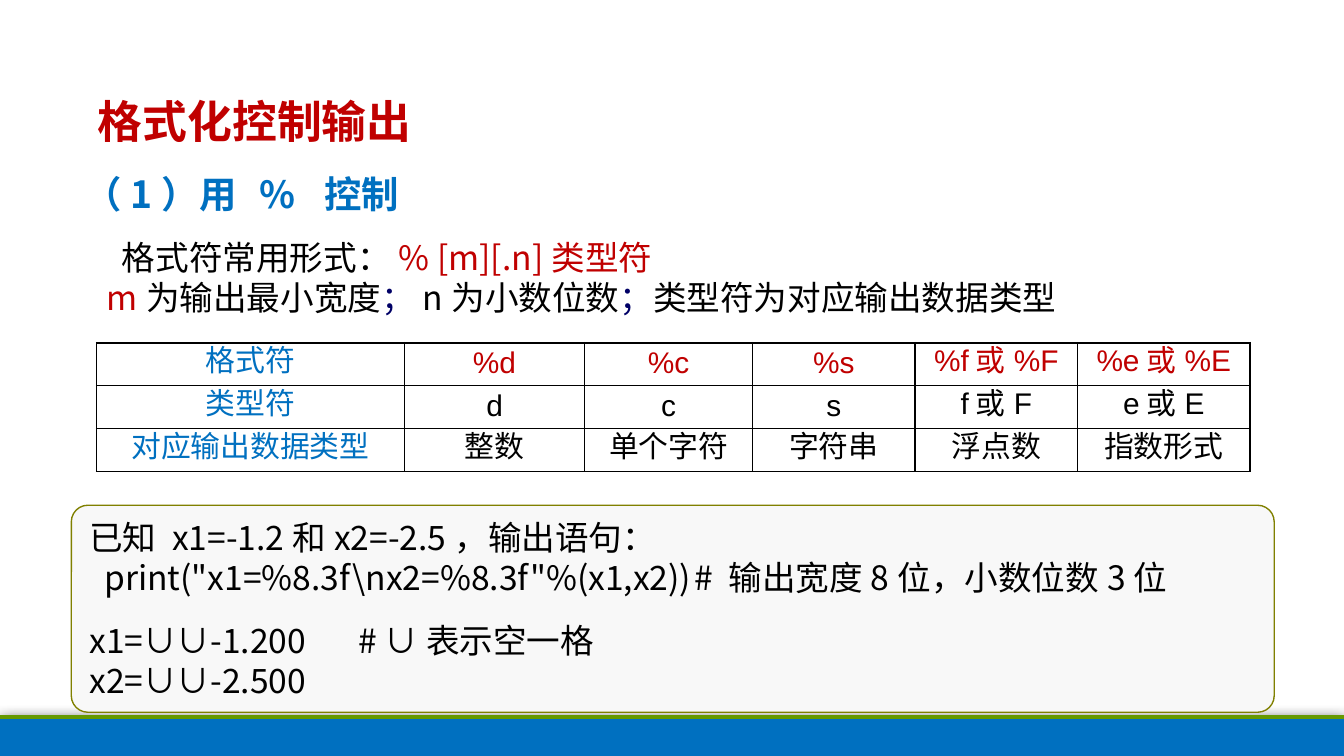
from dataclasses import dataclass

from pptx import Presentation
from pptx.dml.color import RGBColor
from pptx.enum.shapes import MSO_CONNECTOR as Connector, MSO_SHAPE as Shape
from pptx.enum.text import MSO_ANCHOR as Anchor, MSO_AUTO_SIZE as AutoSize, PP_ALIGN as Align
from pptx.oxml.ns import qn
from pptx.util import Pt
from lxml.etree import SubElement

WHITE = RGBColor(0xFF, 0xFF, 0xFF)
BLACK = RGBColor(0x00, 0x00, 0x00)
BLUE = RGBColor(0x00, 0x70, 0xC0)
RED = RGBColor(0xC0, 0x00, 0x00)
NAVY = RGBColor(0x00, 0x00, 0x66)
GREEN = RGBColor(0x66, 0x99, 0x00)
OLIVE = RGBColor(0x80, 0x80, 0x00)
PALE = RGBColor(0xF8, 0xF8, 0xF8)
CJK = "Noto Sans CJK SC"


@dataclass
class Area:
    left: float
    top: float
    width: float
    height: float

    def lengths(self) -> tuple:
        return Pt(self.left), Pt(self.top), Pt(self.width), Pt(self.height)


@dataclass
class Span:
    text: str
    color: RGBColor = BLACK
    size: float = 18
    bold: bool = False
    spread: float = 0


@dataclass
class Line:
    spans: list[Span]
    indent: float = 0
    after: float = 0
    spacing: float | Pt = 1.0
    tab: float = 0


def write_text(frame, lines: list[Line], *, font: str = CJK, align=Align.LEFT) -> None:
    for index, line in enumerate(lines):
        para = frame.paragraphs[0] if index == 0 else frame.add_paragraph()
        para.alignment = align
        para.line_spacing = line.spacing
        para.space_before = Pt(0)
        para.space_after = Pt(line.after)
        properties = para._p.get_or_add_pPr()
        properties.set("marL", str(Pt(line.indent)))
        properties.set("indent", "0")
        if line.tab:
            stops = SubElement(properties, qn("a:tabLst"))
            SubElement(stops, qn("a:tab"), pos=str(Pt(line.tab)), algn="l")
        for span in line.spans:
            run = para.add_run()
            run.text = span.text
            run.font.size = Pt(span.size)
            run.font.bold = span.bold
            run.font.color.rgb = span.color
            run.font.name = font
            SubElement(run.font._element, qn("a:ea"), typeface=CJK)
            if span.spread:
                run.font._element.set("spc", str(round(span.spread * 100)))


def add_panel(page, kind, area: Area, fill: RGBColor, outline: RGBColor | None = None):
    panel = page.shapes.add_shape(kind, *area.lengths())
    panel.shadow.inherit = False
    panel.fill.solid()
    panel.fill.fore_color.rgb = fill
    if outline is None:
        panel.line.fill.background()
    else:
        panel.line.color.rgb = outline
        panel.line.width = Pt(0.75)
    panel.text_frame.word_wrap = True
    return panel


def add_footer(page) -> None:
    band = add_panel(page, Shape.RECTANGLE, Area(0, 385.2, 720, 19.8), BLUE)
    effects = band._element.spPr.find(qn("a:effectLst"))
    shadow = SubElement(effects, qn("a:outerShdw"), blurRad=str(Pt(8.5)),
                        dist=str(Pt(1)), dir="5400000", rotWithShape="0")
    SubElement(shadow, qn("a:srgbClr"), val=str(BLACK))
    rule = page.shapes.add_connector(Connector.STRAIGHT, Pt(0), Pt(384), Pt(720), Pt(384))
    rule.line.color.rgb = GREEN
    rule.line.width = Pt(2)
    SubElement(rule._element.spPr, qn("a:effectLst"))


def add_title(page) -> None:
    title = page.shapes.title
    title.left, title.top, title.width, title.height = Area(45.2, 40.3, 218.2, 42.5).lengths()
    frame = title.text_frame
    frame.auto_size = AutoSize.NONE
    frame.vertical_anchor = Anchor.BOTTOM
    write_text(frame, [Line([Span("格式化控制输出", RED, 24, True)], spacing=1.5)],
               font="Courier New")


def add_intro(page) -> None:
    panel = add_panel(page, Shape.RECTANGLE, Area(38.2, 82.8, 622, 90.7), WHITE)
    panel.text_frame.vertical_anchor = Anchor.BOTTOM
    write_text(panel.text_frame, [
        Line([Span("（1）用", BLUE, 20, True), Span(" % ", BLUE, 20, True, spread=3),
              Span("控制", BLUE, 20, True)]),
        Line([Span("格式符常用形式："), Span("% [m][.n]类型符", RED)], indent=20, spacing=1.5),
        Line([Span("m", RED), Span("为输出最小宽度"), Span("；", NAVY), Span("n为小数位数"),
              Span("；", NAVY), Span("类型符为对应输出数据类型")], indent=12),
    ])


def add_border(cell) -> None:
    properties = cell._tc.get_or_add_tcPr()
    for index, side in enumerate(("lnL", "lnR", "lnT", "lnB")):
        edge = properties.makeelement(qn(f"a:{side}"), {"w": str(Pt(1))})
        fill = SubElement(edge, qn("a:solidFill"))
        SubElement(fill, qn("a:srgbClr"), val=str(BLACK))
        properties.insert(index, edge)


def add_format_table(page) -> None:
    rows = [
        ("格式符", "%d", "%c", "%s", "%f或%F", "%e或%E"),
        ("类型符", "d", "c", "s", "f或F", "e或E"),
        ("对应输出数据类型", "整数", "单个字符", "字符串", "浮点数", "指数形式"),
    ]
    widths = (164.9, 96.5, 90, 87.1, 87.1, 92.2)
    area = Area(51.8, 183.6, sum(widths), 69)
    table = page.shapes.add_table(len(rows), len(widths), *area.lengths()).table
    for column, width in zip(table.columns, widths):
        column.width = Pt(width)
    for row_index, texts in enumerate(rows):
        table.rows[row_index].height = Pt(23)
        for column_index, text in enumerate(texts):
            cell = table.cell(row_index, column_index)
            cell.fill.solid()
            cell.fill.fore_color.rgb = WHITE
            cell.margin_left = cell.margin_right = Pt(5)
            cell.margin_top = cell.margin_bottom = Pt(0)
            add_border(cell)
            color = BLUE if column_index == 0 else RED if row_index == 0 else BLACK
            write_text(cell.text_frame, [Line([Span(text, color, 16)], spacing=Pt(20))],
                       font="Arial", align=Align.CENTER)


def add_example(page) -> None:
    panel = add_panel(page, Shape.ROUNDED_RECTANGLE, Area(38.2, 270.7, 644.4, 110.9), PALE, OLIVE)
    panel.adjustments[0] = 0.08
    panel.text_frame.vertical_anchor = Anchor.MIDDLE
    write_text(panel.text_frame, [
        Line([Span("已知 x1=-1.2和x2=-2.5，输出语句：")]),
        Line([Span('  print("x1=%8.3f\\nx2=%8.3f"%(x1,x2))\t# 输出宽度8位，小数位数3位')],
             after=12, tab=360),
        Line([Span("x1=∪∪-1.200\t# ∪表示空一格")], tab=360),
        Line([Span("x2=∪∪-2.500")]),
    ])


def main() -> None:
    deck = Presentation()
    deck.slide_width, deck.slide_height = Pt(720), Pt(405)
    page = deck.slides.add_slide(deck.slide_layouts[5])
    add_footer(page)
    add_title(page)
    add_example(page)
    add_intro(page)
    add_format_table(page)
    deck.save("out.pptx")


if __name__ == "__main__":
    main()
